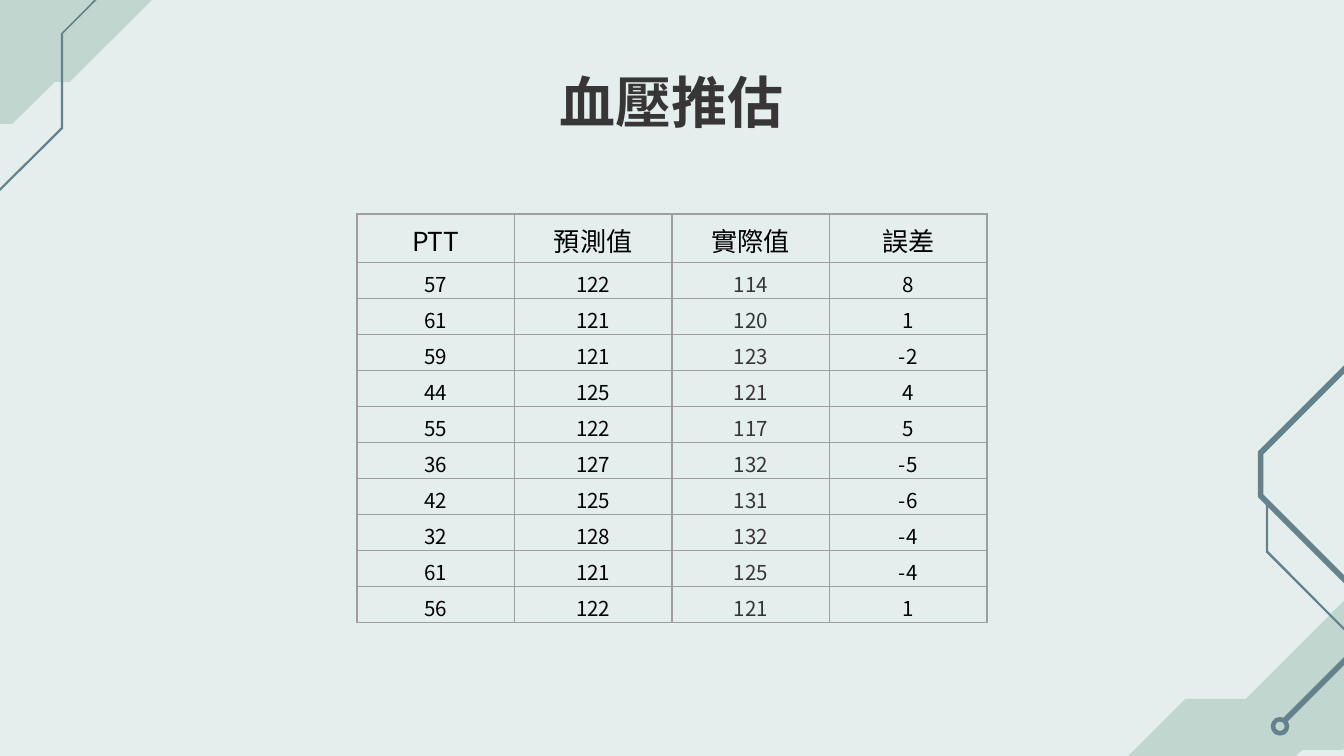
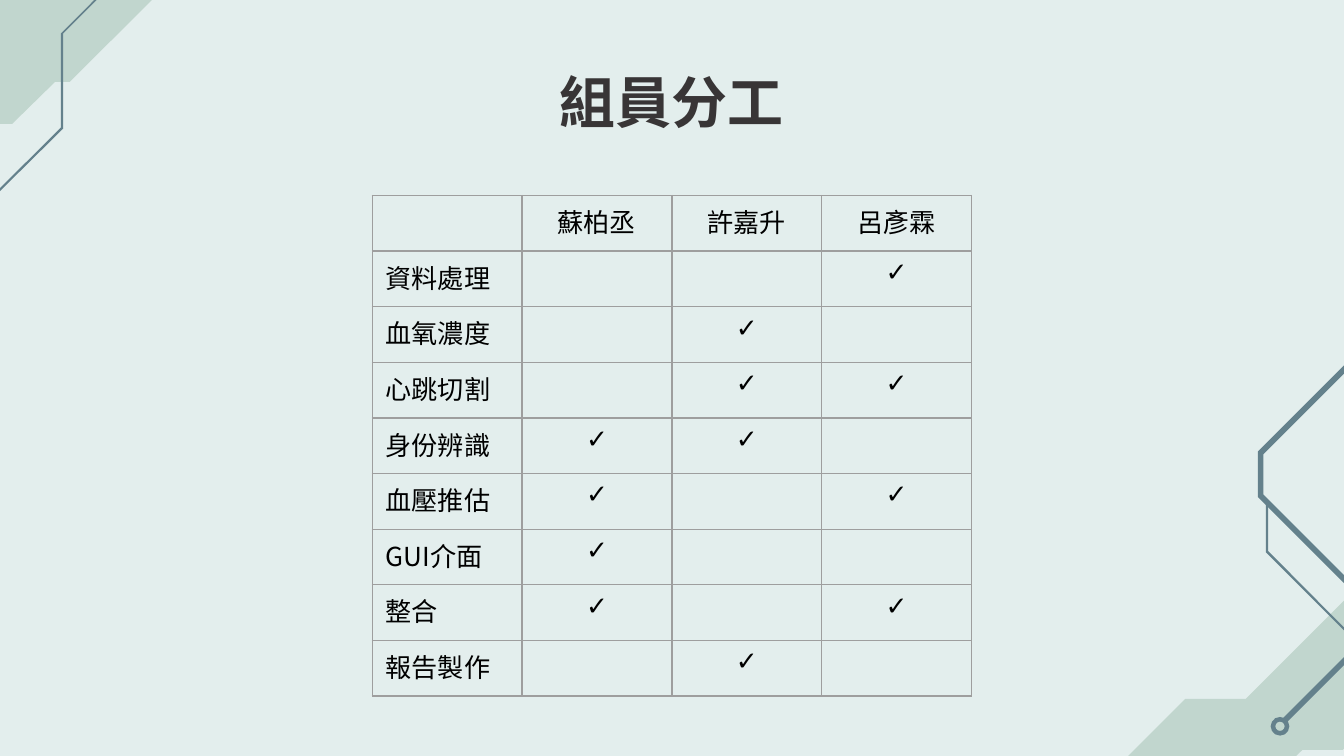
import pptx
import pptx.util
import pptx.dml.color
import pptx.enum.shapes
import pptx.enum.text
import pptx.oxml.ns
from dataclasses import dataclass
from lxml import etree

Pt = pptx.util.Pt
qn = pptx.oxml.ns.qn
ALIGN = pptx.enum.text.PP_ALIGN
ANCHOR = pptx.enum.text.MSO_ANCHOR


@dataclass(frozen=True)
class Theme:
    back: str = "E3EEED"
    sage: str = "C1D6CE"
    slate: str = "64818C"
    ink: str = "383536"
    black: str = "000000"
    rule: str = "9E9E9E"
    sans: str = "Noto Sans CJK SC"
    digit: str = "Noto Sans CJK TC"
    serif: str = "Times New Roman"
    mark: str = "Arial"
    title: int = 30
    head: int = 14
    body: int = 11


T = Theme()
WIDE, HIGH = 720, 405

# Content: blood pressure estimates
BP_TITLE = "血壓推估"
BP_HEAD = ["PTT", "預測值", "實際值", "誤差"]
BP_ROWS = [
    (57, 122, 114, 8),
    (61, 121, 120, 1),
    (59, 121, 123, -2),
    (44, 125, 121, 4),
    (55, 122, 117, 5),
    (36, 127, 132, -5),
    (42, 125, 131, -6),
    (32, 128, 132, -4),
    (61, 121, 125, -4),
    (56, 122, 121, 1),
]

# Content: who does what
TEAM_TITLE = "組員分工"
TEAM = ["蘇柏丞", "許嘉升", "呂彥霖"]
TASKS = [
    ("資料處理", ["呂彥霖"]),
    ("血氧濃度", ["許嘉升"]),
    ("心跳切割", ["許嘉升", "呂彥霖"]),
    ("身份辨識", ["蘇柏丞", "許嘉升"]),
    ("血壓推估", ["蘇柏丞", "呂彥霖"]),
    ("GUI介面", ["蘇柏丞"]),
    ("整合", ["蘇柏丞", "呂彥霖"]),
    ("報告製作", ["許嘉升"]),
]

# Corner art: colour and outline, back to front
ART = [
    (T.sage, [(85.7, -51.8), (46.8, -13), (11.5, -13), (-67.7, 66.4),
              (6.5, 66.4), (29.5, 43.9), (37.4, 43.9), (133.2, -51.8)]),
    (T.slate, [(87.1, -36.7), (32.6, 18), (32.6, 68.4), (-8.6, 109.4),
               (-7.9, 110.2), (33.8, 69), (33.8, 18), (87.8, -36)]),
    (T.sage, [(739.4, 302.4), (667.4, 374.4), (635, 374.4), (594, 415.4),
              (594, 434.2), (568.1, 460.1), (638.6, 460.1), (697.7, 401.8),
              (719.3, 401.8), (761.8, 359.3), (761.8, 347.8), (807.1, 302.4)]),
    (T.slate, [(877, 95), (807.1, 164.9), (751, 164.9), (673.9, 241.9),
               (673.9, 266.4), (720.7, 313.2), (720.7, 351.4), (686.2, 385.9),
               (688.3, 388.1), (723.6, 352.8), (723.6, 311.8), (676.8, 265),
               (676.8, 243.4), (752.4, 167.8), (807.8, 167.8), (879.1, 96.5)]),
    (T.slate, [(678.2, 269.3), (678.2, 295.9), (721.4, 339.1),
               (722.2, 338.4), (679.4, 295.2), (679.4, 269.3)]),
]
RING = (680.7, 384.1, 10)


def tint(code):
    return pptx.dml.color.RGBColor.from_string(code)


def paint(shape, code):
    shape.shadow.inherit = False
    shape.fill.solid()
    shape.fill.fore_color.rgb = tint(code)
    shape.line.fill.background()


def stroke(tag, code):
    line = etree.Element(qn(tag), w=str(Pt(0.75)))
    fill = etree.SubElement(line, qn("a:solidFill"))
    etree.SubElement(fill, qn("a:srgbClr"), val=code)
    return line


def style(para, size, face, code, bold=False, edge=False):
    for run in para.runs:
        font = run.font
        font.size, font.bold, font.name = Pt(size), bold, face
        font.color.rgb = tint(code)
        props = run._r.get_or_add_rPr()
        east = etree.Element(qn("a:ea"), typeface=T.digit if face == T.digit else T.sans)
        props.find(qn("a:latin")).addnext(east)
        if edge:
            props.insert(0, stroke("a:ln", T.ink))
    if not para.runs:
        etree.SubElement(para._p, qn("a:endParaRPr"), sz=str(size * 100))


# Shared page: background, corner art, title
def page(deck, title):
    slide = deck.slides.add_slide(deck.slide_layouts[6])
    slide.background.fill.solid()
    slide.background.fill.fore_color.rgb = tint(T.back)
    for code, spots in ART:
        first, *rest = [(Pt(x), Pt(y)) for x, y in spots]
        pen = slide.shapes.build_freeform(*first, scale=1.0)
        pen.add_line_segments(rest, close=True)
        paint(pen.convert_to_shape(), code)
    x, y, size = RING
    ring = slide.shapes.add_shape(
        pptx.enum.shapes.MSO_SHAPE.DONUT, Pt(x), Pt(y), Pt(size), Pt(size))
    ring.adjustments[0] = 0.25
    paint(ring, T.slate)

    box = slide.shapes.add_textbox(Pt(56.7), Pt(30.5), Pt(606.6), Pt(46.8))
    frame = box.text_frame
    frame.word_wrap = True
    frame.vertical_anchor = ANCHOR.MIDDLE
    frame.margin_left = frame.margin_right = Pt(7.2)
    frame.margin_top = frame.margin_bottom = Pt(7.2)
    frame.text = title
    para = frame.paragraphs[0]
    para.alignment = ALIGN.CENTER
    style(para, T.title, T.sans, T.ink, bold=True)
    return slide


# Centred table; look(cell, row, col) sets the text of each cell
def grid(slide, rows, top, col, heights, look):
    count = len(rows[0])
    wide = col * count
    table = slide.shapes.add_table(
        len(rows), count, Pt((WIDE - wide) / 2), Pt(top),
        Pt(wide), Pt(sum(heights))).table
    table.first_row = table.horz_banding = False
    for part in table.columns:
        part.width = Pt(col)
    for r, row in enumerate(rows):
        table.rows[r].height = Pt(heights[r])
        for c, text in enumerate(row):
            cell = table.cell(r, c)
            cell.text_frame.text = str(text)
            if r and c:
                cell.fill.solid()
                cell.fill.fore_color.rgb = tint(T.back)
            else:
                cell.fill.background()
            props = cell._tc.get_or_add_tcPr()
            for i, side in enumerate("LRTB"):
                props.insert(i, stroke("a:ln" + side, T.rule))
            look(cell, r, c)


def bp_look(cell, r, c):
    para = cell.text_frame.paragraphs[0]
    para.alignment = ALIGN.CENTER
    if r == 0:
        style(para, T.head, T.sans, T.black, edge=True)
        return
    cell.vertical_anchor = ANCHOR.BOTTOM
    cell.margin_left = cell.margin_right = cell.margin_top = Pt(0.75)
    cell.margin_bottom = Pt(0)
    style(para, T.body, T.digit, T.ink if c == 2 else T.black)


def team_look(cell, r, c):
    para = cell.text_frame.paragraphs[0]
    if c:
        para.alignment = ALIGN.CENTER
    face = T.serif if r == 0 else T.mark if c else T.sans
    style(para, T.head, face, T.black, edge=True)


def main():
    deck = pptx.Presentation()
    deck.slide_width, deck.slide_height = Pt(WIDE), Pt(HIGH)

    # Estimates
    rows = [BP_HEAD] + BP_ROWS
    grid(page(deck, BP_TITLE), rows, 114.6, 84.4,
         [26] + [19.3] * len(BP_ROWS), bp_look)

    # Tasks
    rows = [[""] + TEAM]
    rows += [[task] + ["✓" if name in who else "" for name in TEAM]
             for task, who in TASKS]
    grid(page(deck, TEAM_TITLE), rows, 104.7, 80.3,
         [29.8] * len(rows), team_look)

    deck.save("out.pptx")


if __name__ == "__main__":
    main()
